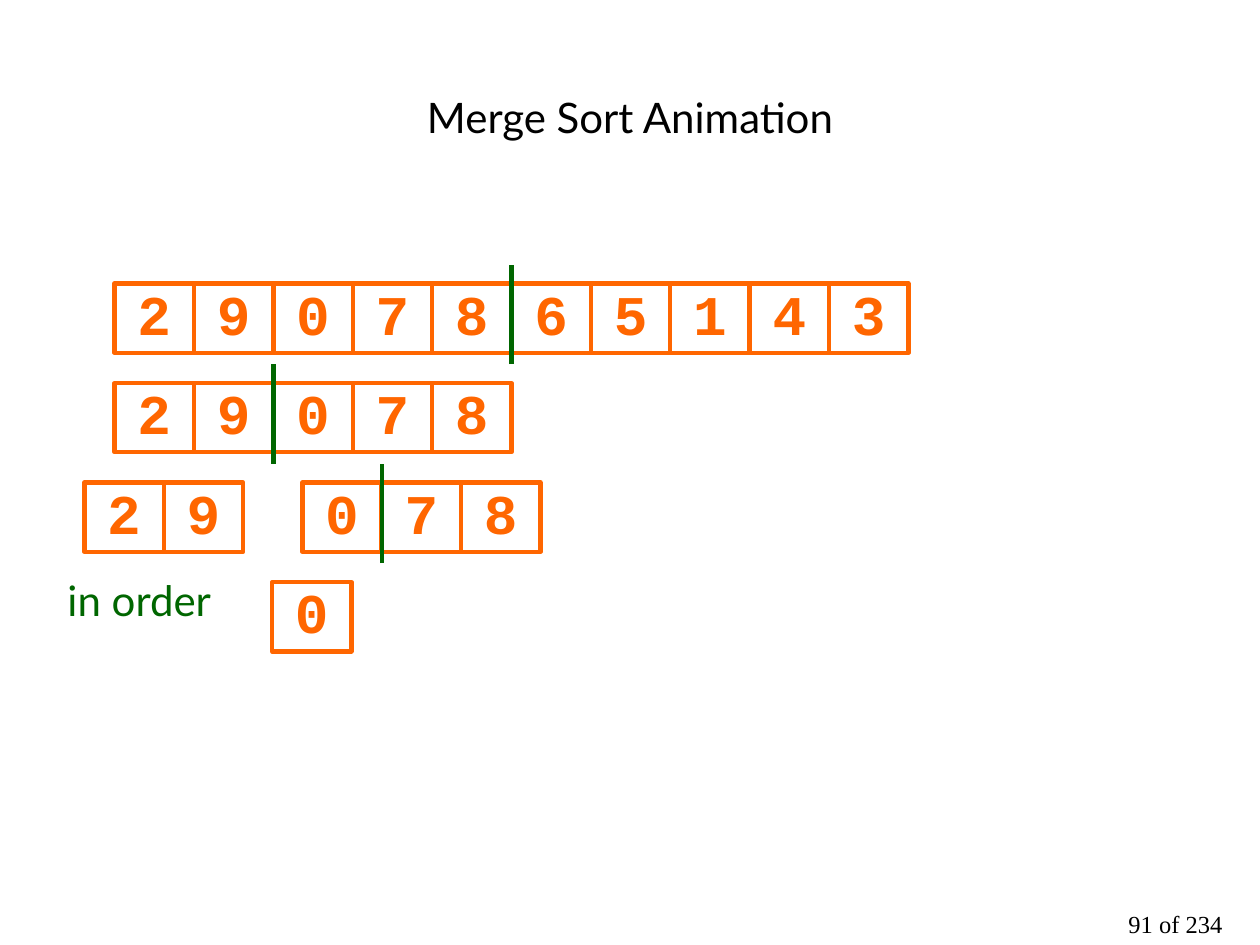
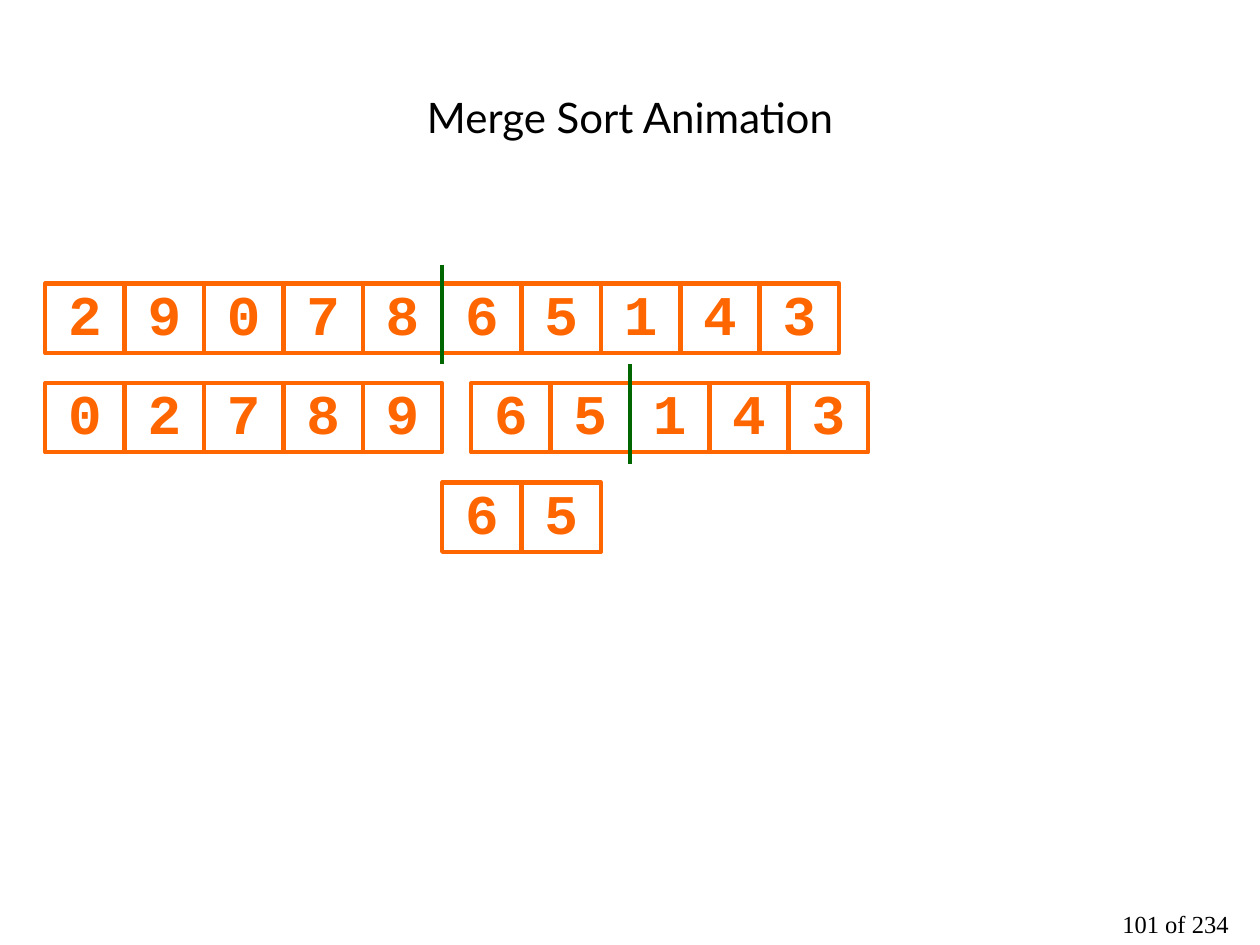
"""Builds two steps of a merge sort animation as slides."""
from lxml import etree
from pptx import Presentation
from pptx.dml.color import RGBColor
from pptx.enum.shapes import MSO_CONNECTOR, MSO_SHAPE
from pptx.enum.text import MSO_ANCHOR, PP_ALIGN
from pptx.oxml.ns import qn
from pptx.util import Pt

STRAIGHT = MSO_CONNECTOR.STRAIGHT
RECTANGLE = MSO_SHAPE.RECTANGLE
MIDDLE = MSO_ANCHOR.MIDDLE
TOP = MSO_ANCHOR.TOP
CENTER = PP_ALIGN.CENTER

EMU_PER_PX = 9144
SLIDE_WIDTH, SLIDE_HEIGHT = 1000, 750
TITLE_ONLY_LAYOUT = 5
PAGE_COUNT = 234

CELL_WIDTH, CELL_HEIGHT = 63, 55
FIRST_ROW_TOP, ROW_PITCH = 225, 79
SPLIT_RISE = 15


def px(*lengths):
    return [length * EMU_PER_PX for length in lengths]


def color(hex_string):
    return RGBColor.from_string(hex_string)


class MergeSortDeck:
    black = "000000"
    orange = "FF6600"
    green = "006600"
    title_font = "Lato"
    digit_font = "Courier New"
    page_font = "Times New Roman"
    line_width = 2.5

    def __init__(self):
        self.presentation = Presentation()
        self.presentation.slide_width, self.presentation.slide_height = px(
            SLIDE_WIDTH, SLIDE_HEIGHT)
        self.slide = None

    def set_text(self, shape, text, font_name, size, hex_string,
                 bold=False, spacing=None, anchor=MIDDLE, margins=None):
        text_frame = shape.text_frame
        text_frame.text = text
        text_frame.word_wrap = True
        text_frame.vertical_anchor = anchor
        if margins:
            horizontal, vertical = px(*margins)
            text_frame.margin_left = text_frame.margin_right = horizontal
            text_frame.margin_top = text_frame.margin_bottom = vertical
        paragraph = text_frame.paragraphs[0]
        paragraph.alignment = CENTER
        paragraph.line_spacing = spacing
        font = paragraph.runs[0].font
        font.name = font_name
        font.size = Pt(size)
        font.bold = bold
        font.color.rgb = color(hex_string)

    def outline(self, shape, hex_string):
        shape.line.color.rgb = color(hex_string)
        shape.line.width = Pt(self.line_width)

    def add_slide(self, title_text, page):
        layout = self.presentation.slide_layouts[TITLE_ONLY_LAYOUT]
        self.slide = self.presentation.slides.add_slide(layout)
        title = self.slide.shapes.title
        title.left, title.top, title.width, title.height = px(50, 30, 900, 125)
        self.set_text(title, title_text, self.title_font, 24, self.black)
        page_box = self.slide.shapes.add_textbox(*px(866, 722, 134, 28))
        self.set_text(page_box, f"{page} of {PAGE_COUNT}", self.page_font, 14,
                      self.black, spacing=0.75, anchor=TOP, margins=(10, 5))

    def add_cell(self, left, top, digit):
        cell = self.slide.shapes.add_shape(
            RECTANGLE, *px(left, top, CELL_WIDTH, CELL_HEIGHT))
        cell.shadow.inherit = False
        cell.fill.background()
        self.outline(cell, self.orange)
        self.set_text(cell, digit, self.digit_font, 32, self.orange,
                      bold=True, spacing=0.85, margins=(0, 0))

    def add_split(self, x, top):
        split = self.slide.shapes.add_connector(
            STRAIGHT, *px(x, top + ROW_PITCH, x, top))
        self.outline(split, self.green)
        etree.SubElement(split._element.spPr, qn("a:effectLst"))

    def add_array(self, level, left, digits, split_after=None):
        top = FIRST_ROW_TOP + level * ROW_PITCH
        for index, digit in enumerate(digits):
            self.add_cell(left + index * CELL_WIDTH, top, digit)
        if split_after:
            self.add_split(left + split_after * CELL_WIDTH, top - SPLIT_RISE)

    def add_remark(self, left, top, text):
        remark = self.slide.shapes.add_textbox(*px(left, top, 181, 34))
        self.set_text(remark, text, self.title_font, 24, self.green,
                      spacing=0.85, anchor=TOP, margins=(0, 0))

    def save(self):
        self.presentation.save("out.pptx")


def main():
    title = "Merge Sort Animation"
    steps = [
        (91, [(0, 91, "2907865143", 5), (1, 91, "29078", 2),
              (2, 67, "29"), (2, 240, "078", 1), (3, 216, "0")],
         [(20, 462, "in order")]),
        (101, [(0, 36, "2907865143", 5), (1, 36, "02789"),
               (1, 374, "65143", 2), (2, 351, "65")], []),
    ]
    deck = MergeSortDeck()
    for page, arrays, remarks in steps:
        deck.add_slide(title, page)
        for array in arrays:
            deck.add_array(*array)
        for remark in remarks:
            deck.add_remark(*remark)
    deck.save()


if __name__ == "__main__":
    main()
